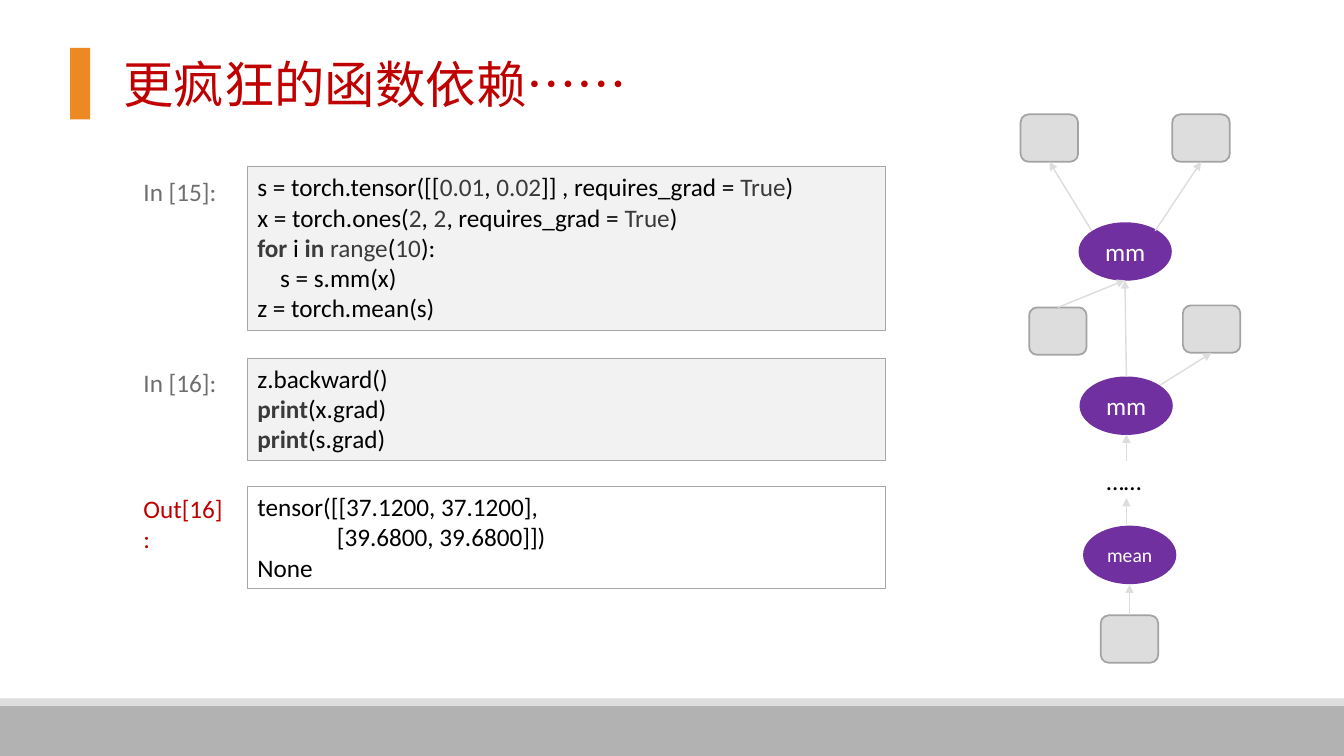
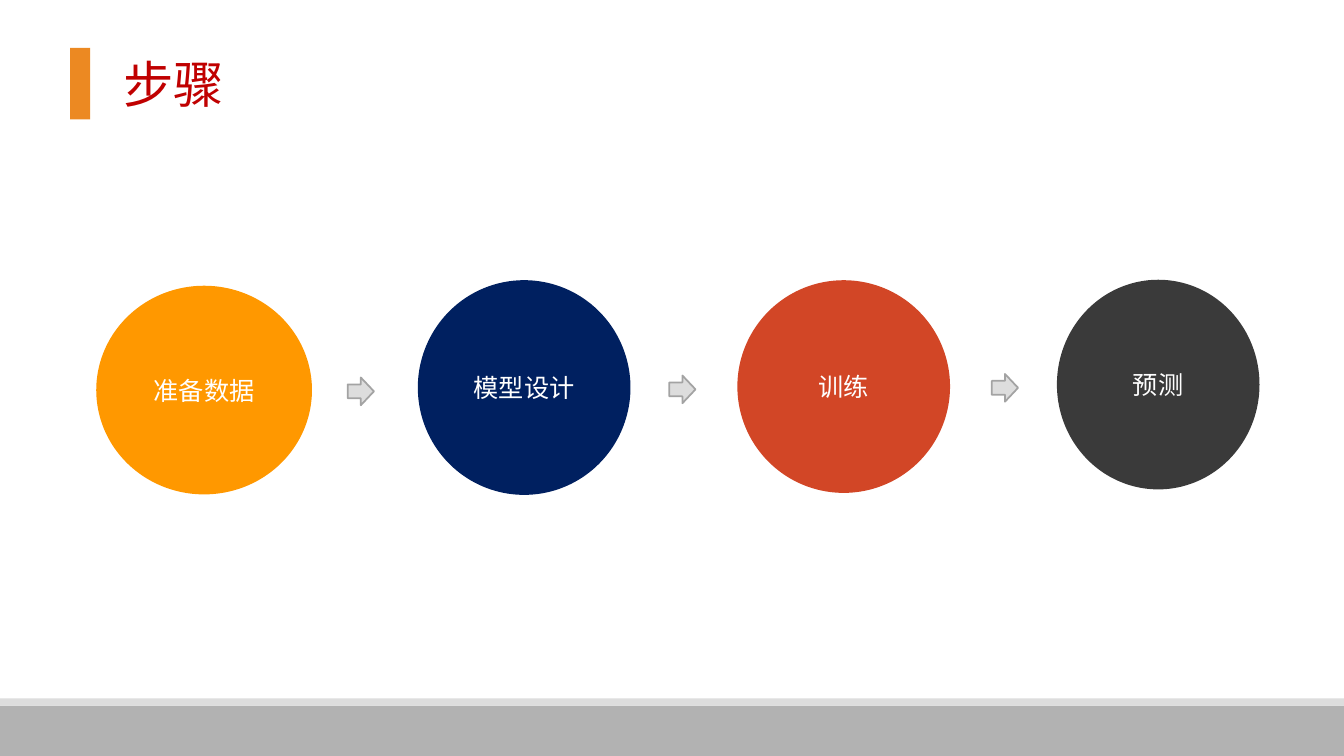
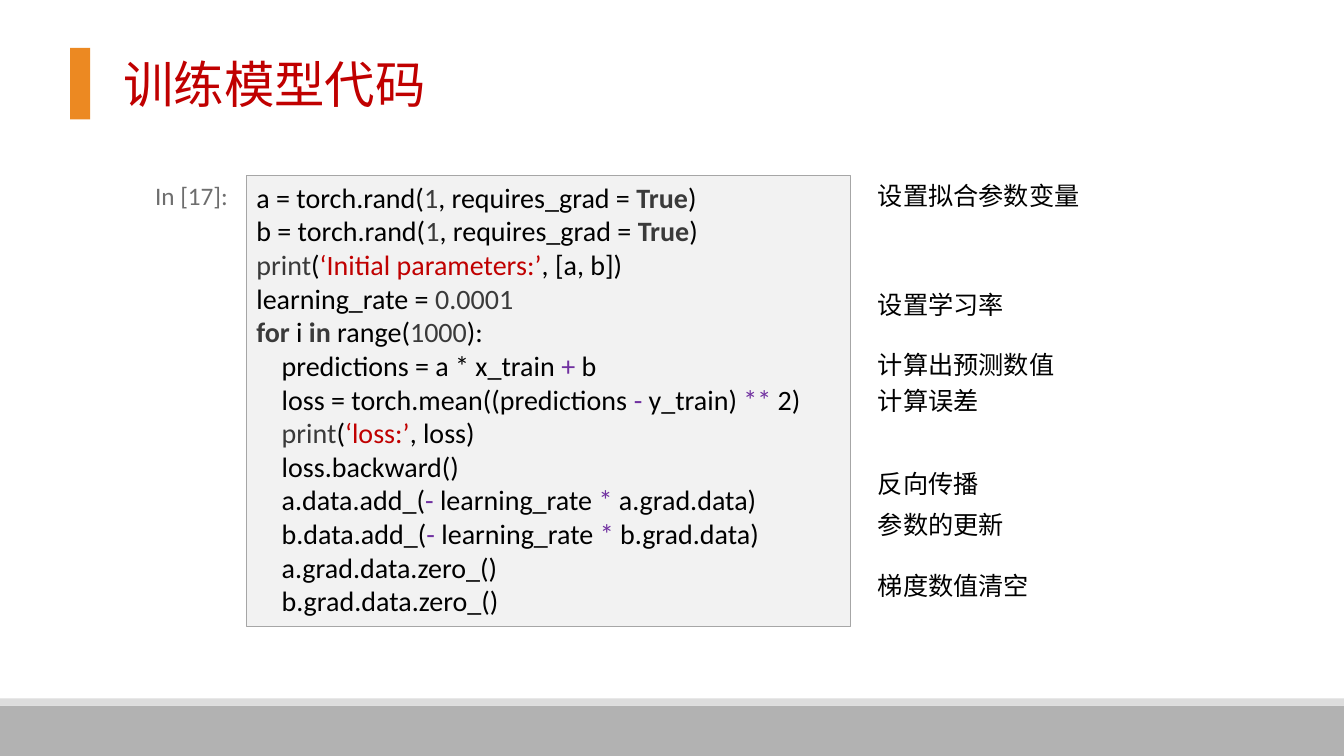
from lxml import etree
from pptx import Presentation
from pptx.dml.color import RGBColor
from pptx.enum.shapes import MSO_CONNECTOR, MSO_SHAPE
from pptx.enum.text import MSO_ANCHOR, PP_ALIGN
from pptx.oxml.ns import qn
from pptx.util import Inches, Pt

RECT, ROUND = MSO_SHAPE.RECTANGLE, MSO_SHAPE.ROUNDED_RECTANGLE
OVAL, ARROW = MSO_SHAPE.OVAL, MSO_SHAPE.RIGHT_ARROW
LINE = MSO_CONNECTOR.STRAIGHT
TOP, MIDDLE = MSO_ANCHOR.TOP, MSO_ANCHOR.MIDDLE
LEFT, CENTER = PP_ALIGN.LEFT, PP_ALIGN.CENTER

COLS, ROWS = 133.33, 75
CELL = Inches(0.1)
LATIN, HAN = "Calibri", "Noto Sans CJK SC"
COLORS = {
    "black": "000000", "white": "FFFFFF", "red": "C00000",
    "orange": "EC8922", "purple": "7030A0", "dark": "3A3A3A",
    "label": "6E6E6E", "code": "F2F2F2", "frame": "A6A6A6",
    "pale": "DDDDDD", "edge": "A3A3A3", "band": "B2B2B2",
    "amber": "FF9800", "navy": "002060", "brick": "D24626",
}
# Syntax kind -> colour, bold
SYNTAX = {"num": ("dark", False), "key": ("dark", True),
          "str": ("red", False), "op": ("purple", False)}


def tint(name):
    return RGBColor.from_string(COLORS[name])


def grid(*cells):
    return [round(n * CELL) for n in cells]


class Deck:
    """Holds the style and the slide being drawn; lengths are grid cells."""

    def __init__(self):
        self.prs = Presentation()
        self.prs.slide_width, self.prs.slide_height = grid(COLS, ROWS)
        self.slide = None

    def page(self, title):
        self.slide = self.prs.slides.add_slide(self.prs.slide_layouts[6])
        self.shape(RECT, (0, 70, COLS, 5), "band")
        self.shape(RECT, (0, 69.3, COLS, 0.7), "pale")
        self.shape(RECT, (6.95, 4.75, 2, 7.1), "orange")
        self.text((11.25, 4.8, 63.3, 7.1), title, "red", 36, HAN)

    def shape(self, kind, area, fill, edge=None, weight=1.25):
        item = self.slide.shapes.add_shape(kind, *grid(*area))
        item.shadow.inherit = False
        item.fill.solid()
        item.fill.fore_color.rgb = tint(fill)
        if edge:
            item.line.color.rgb = tint(edge)
            item.line.width = Pt(weight)
        else:
            item.line.fill.background()
        return item

    def run(self, para, words, color, size, face=LATIN, bold=False):
        run = para.add_run()
        run.text = words
        run.font.size, run.font.bold = Pt(size), bold
        run.font.color.rgb = tint(color)
        run.font.name = face
        if any(sign >= "一" for sign in words):
            etree.SubElement(run.font._element, qn("a:ea"), typeface=HAN)

    def text(self, area, words, color="black", size=18, face=LATIN):
        frame = self.slide.shapes.add_textbox(*grid(*area)).text_frame
        frame.word_wrap = True
        self.run(frame.paragraphs[0], words, color, size, face)

    def box(self, col, row):
        return self.shape(ROUND, (col, row, 5.7, 4.7), "pale", "edge")

    def oval(self, area, words, fill, size=18):
        frame = self.shape(OVAL, area, fill).text_frame
        frame.word_wrap = False
        frame.vertical_anchor = MIDDLE
        para = frame.paragraphs[0]
        para.alignment = CENTER
        self.run(para, words, "white", size)

    def code(self, area, lines, fill="code", size=18):
        """Each line lists plain strings and (kind, string) pairs."""
        frame = self.shape(RECT, area, fill, "frame", 0.75).text_frame
        frame.word_wrap = True
        frame.vertical_anchor = TOP
        for i, line in enumerate(lines):
            para = frame.add_paragraph() if i else frame.paragraphs[0]
            para.alignment = LEFT
            for part in line:
                if isinstance(part, str):
                    self.run(para, part, "black", size)
                else:
                    color, bold = SYNTAX[part[0]]
                    self.run(para, part[1], color, size, bold=bold)

    def arrow(self, start, end):
        """Each end is a (column, row) point or a (shape, side) pair."""
        ends = [(hasattr(spot[0], "shape_id"), spot) for spot in (start, end)]
        cells = [n for tied, spot in ends for n in ((0, 0) if tied else spot)]
        link = self.slide.shapes.add_connector(LINE, *grid(*cells))
        for (tied, spot), join in zip(ends, (link.begin_connect, link.end_connect)):
            if tied:
                join(*spot)
        link.line.color.rgb = tint("pale")
        link.line.width = Pt(1)
        etree.SubElement(link.line._get_or_add_ln(), qn("a:tailEnd"), type="triangle")
        etree.SubElement(link._element.spPr, qn("a:effectLst"))


def graph(deck):
    deck.page("更疯狂的函数依赖……")
    deck.code((24.55, 16.55, 63.3, 16.2), [
        ["s = torch.tensor([[", ("num", "0.01"), ", ", ("num", "0.02"),
         "]] , requires_grad = ", ("num", "True"), ")"],
        ["x = torch.ones(", ("num", "2"), ", ", ("num", "2"),
         ", requires_grad = ", ("num", "True"), ")"],
        [("key", "for "), "i ", ("key", "in "), ("num", "range"), "(",
         ("num", "10"), "):"],
        ["    s = s.mm(x)"],
        ["z = torch.mean(s)"],
    ])
    deck.code((24.55, 35.55, 63.3, 10.1), [
        ["z.backward()"],
        [("key", "print"), "(x.grad)"],
        [("key", "print"), "(s.grad)"],
    ])
    deck.code((24.55, 48.25, 63.3, 10.1), [
        ["tensor([[37.1200, 37.1200],"],
        ["              [39.6800, 39.6800]])"],
        ["None"],
    ], "white")
    for row, words, color in ((17, "In [15]:", "label"), (35.95, "In [16]:", "label"),
                              (48.4, "Out[16]:", "red")):
        deck.text((13.25, row, 10, 4), words, color)

    s_top, x_top = deck.box(101.25, 11.35), deck.box(116.3, 11.35)
    s_low, x_low = deck.box(102.1, 30.5), deck.box(117.35, 30.3)
    z = deck.box(109.2, 61.05)
    for col, row, words, size in ((107, 22.05, "mm", 18), (107.1, 37.35, "mm", 18),
                                  (107.45, 52.15, "mean", 14)):
        deck.oval((col, row, 9.25, 5.8), words, "purple", size)
    deck.text((108.8, 45.65, 10.4, 4), "……")
    for start, end in (
        ((108.3, 22.9), (s_top, 2)), ((114.6, 22.9), (x_top, 2)),
        ((s_low, 0), (111.6, 27.8)), ((111.75, 37.4), (111.6, 27.8)),
        ((115.1, 38.2), (x_low, 2)), ((111.75, 45.7), (111.75, 43.1)),
        ((111.75, 52), (111.75, 49.4)), ((z, 0), (112.05, 58)),
    ):
        deck.arrow(start, end)


def steps(deck):
    deck.page("步骤")
    for area, words, fill in (
        ((9.55, 28.35, 21.4, 20.7), "准备数据", "amber"),
        ((41.45, 27.8, 21.1, 21.3), "模型设计", "navy"),
        ((73.15, 27.8, 21.1, 21.1), "训练", "brick"),
        ((104.85, 27.75, 20.1, 20.8), "预测", "dark"),
    ):
        deck.oval(area, words, fill)
    for col, row in ((34.5, 37.45), (66.4, 37.25), (98.4, 37.1)):
        deck.shape(ARROW, (col, row, 2.6, 2.75), "pale", "edge")


def train(deck):
    deck.page("训练模型代码")
    rand = [[f"{name} = torch.rand(", ("num", "1"), ", requires_grad = ",
             ("key", "True"), ")"] for name in "ab"]
    update = [[f"    {name}.data.add_(", ("op", "- "), "learning_rate ",
               ("op", "* "), f"{name}.grad.data)"] for name in "ab"]
    clear = [[f"    {name}.grad.data.zero_()"] for name in "ab"]
    deck.code((24.45, 17.4, 59.95, 44.8), [
        *rand,
        [("num", "print"), "(", ("str", "‘Initial parameters:’"), ", [a, b])"],
        ["learning_rate = ", ("num", "0.0001")],
        [("key", "for "), "i ", ("key", "in"), " range(", ("num", "1000"), "):"],
        ["    predictions = a * x_train ", ("op", "+"), " b"],
        ["    loss = torch.mean((predictions ", ("op", "- "), "y_train) ",
         ("op", "**"), " 2)"],
        ["    ", ("num", "print"), "(", ("str", "‘loss:’"), ", loss)"],
        ["    loss.backward()"],
        *update,
        *clear,
    ], size=20)
    deck.text((14.4, 17.4, 10, 4), "In [17]:", "label")
    for row, words in ((17.4, "设置拟合参数变量"), (28.25, "设置学习率"),
                       (34.2, "计算出预测数值"), (37.75, "计算误差"),
                       (46, "反向传播"), (50, "参数的更新"), (56.1, "梯度数值清空")):
        deck.text((86.1, row, 28.8, 4), words)


def main():
    deck = Deck()
    for draw in (graph, steps, train):
        draw(deck)
    deck.prs.save("out.pptx")


if __name__ == "__main__":
    main()
